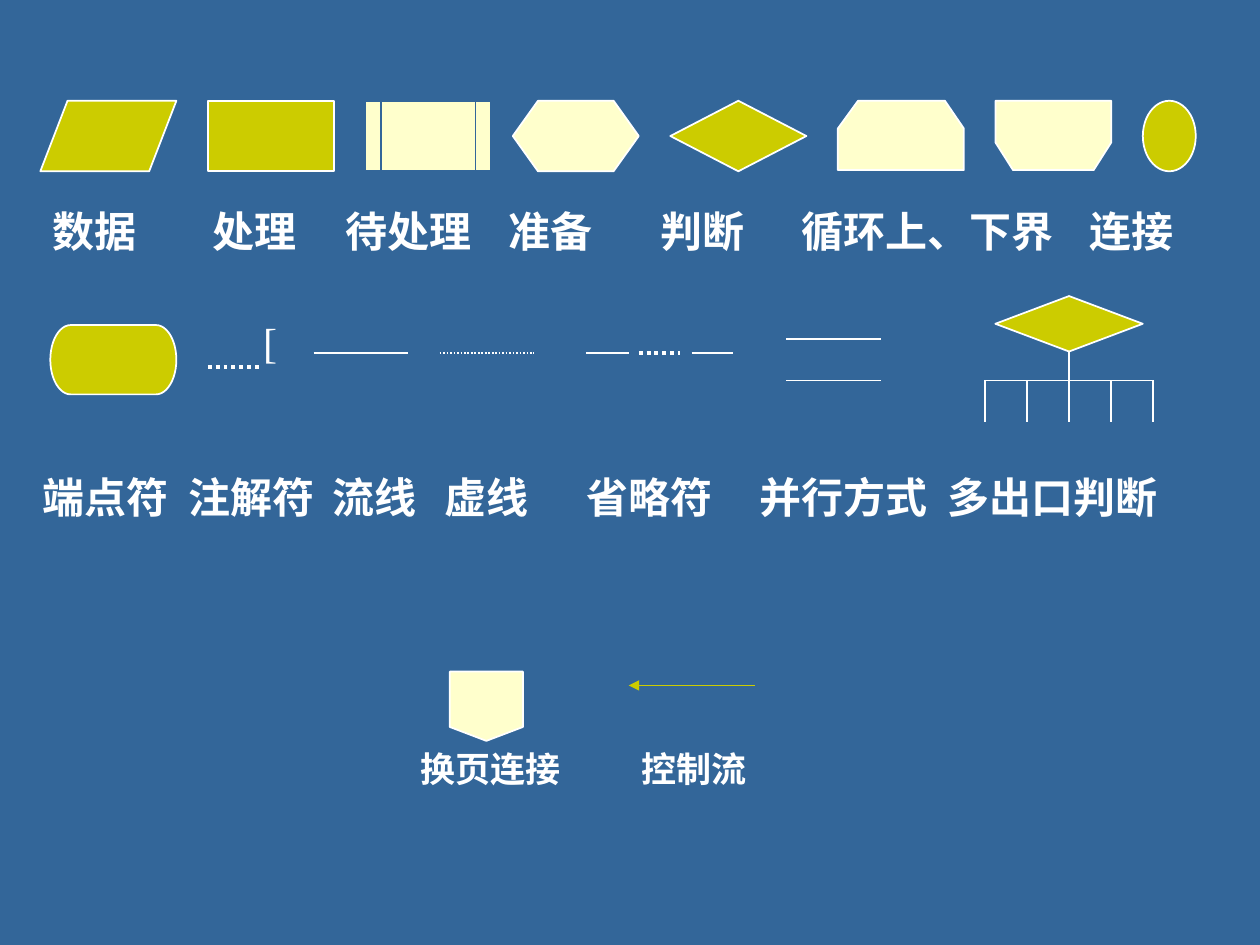
from lxml.etree import SubElement
from pptx import Presentation
from pptx.dml.color import RGBColor
from pptx.enum.dml import MSO_LINE
from pptx.enum.shapes import MSO_CONNECTOR, MSO_SHAPE as Preset
from pptx.enum.text import MSO_AUTO_SIZE
from pptx.oxml.ns import qn
from pptx.util import Inches, Pt

COLORS = {"blue": "336699", "olive": "CCCC00", "cream": "FFFFCC", "white": "FFFFFF"}
FONT = "Times New Roman"
DOTTED = MSO_LINE.ROUND_DOT

# preset, (left, top, width, height), fill, outline
SYMBOLS = [
    (Preset.FLOWCHART_DATA, (0.32, 0.8, 1.08, 0.56), "olive", "white"),
    (Preset.RECTANGLE, (1.65, 0.8, 1, 0.56), "olive", "white"),
    (Preset.FLOWCHART_PREDEFINED_PROCESS, (2.9, 0.8, 1, 0.56), "cream", "blue"),
    (Preset.FLOWCHART_PREPARATION, (4.07, 0.8, 1, 0.56), "cream", "white"),
    (Preset.FLOWCHART_DECISION, (5.32, 0.8, 1.08, 0.56), "olive", "white"),
    (Preset.FLOWCHART_CONNECTOR, (9.07, 0.8, 0.42, 0.56), "olive", "white"),
    (Preset.FLOWCHART_TERMINATOR, (0.4, 2.58, 1, 0.55), "olive", "white"),
    (Preset.FLOWCHART_OFFPAGE_CONNECTOR, (3.57, 5.33, 0.58, 0.55), "cream", "white"),
]
MULTI_EXIT_DECISION = (Preset.FLOWCHART_DECISION, (7.9, 2.35, 1.17, 0.44), "olive", "white")
LOOP_LIMITS = [
    [(6.65, 1.02), (6.81, 0.8), (7.5, 0.8), (7.65, 1.02), (7.65, 1.35), (6.65, 1.35)],
    [(7.9, 1.13), (8.04, 1.35), (8.68, 1.35), (8.82, 1.13), (8.82, 0.8), (7.9, 0.8)],
]
# left, right, y, width in points, dash
HORIZONTAL_LINES = [
    (1.65, 2.07, 2.91, 2.25, DOTTED),
    (2.49, 3.24, 2.8, 1, None),
    (3.49, 4.24, 2.8, 1, DOTTED),
    (4.65, 4.99, 2.8, 1, None),
    (5.07, 5.4, 2.8, 2.25, DOTTED),
    (5.49, 5.82, 2.8, 1, None),
    (6.24, 6.99, 2.69, 1, None),
    (6.24, 6.99, 3.02, 1, None),
]
BRANCH_TOP, BRANCH_BOTTOM = 3.02, 3.35
BRANCHES = [7.82, 8.15, 8.82, 9.15]
STEM = 8.49

# box, size, bold, labels, left edge of each label after the first
LABELS = [
    ((0.32, 1.58, 9.42, 0.5), 24, True,
     ["数据", "处理", "待处理", "准备", "判断", "循环上、下界", "连接"],
     [1.69, 2.74, 4.04, 5.24, 6.36, 8.65]),
    ((0.24, 3.69, 9.25, 0.5), 24, True,
     ["端点符", "注解符", "流线", "虚线", "省略符", "并行方式", "多出口判断"],
     [1.5, 2.64, 3.53, 4.66, 6.03, 7.52]),
    ((1.99, 2.46, 0.58, 0.5), 24, False, ["["], []),
    ((3.24, 5.88, 1.33, 0.44), 20, True, ["换页连接"], []),
    ((4.99, 5.88, 1.33, 0.44), 20, True, ["控制流"], []),
]
INSET = 0.1


def rgb(name):
    return RGBColor.from_string(COLORS[name])


def paint(shape, fill, outline):
    shape.shadow.inherit = False
    shape.fill.solid()
    shape.fill.fore_color.rgb = rgb(fill)
    shape.line.color.rgb = rgb(outline)
    shape.line.width = Pt(1)


def add_symbol(slide, preset, box, fill, outline):
    shape = slide.shapes.add_shape(preset, *map(Inches, box))
    paint(shape, fill, outline)
    return shape


def add_polygon(slide, points):
    corners = [(Inches(x), Inches(y)) for x, y in points]
    builder = slide.shapes.build_freeform(*corners[0])
    builder.add_line_segments(corners[1:], close=True)
    paint(builder.convert_to_shape(), "cream", "white")


def add_line(slide, start, end, color="white", width=1, dash=None):
    line = slide.shapes.add_connector(
        MSO_CONNECTOR.STRAIGHT, *map(Inches, (*start, *end)))
    line.line.color.rgb = rgb(color)
    line.line.width = Pt(width)
    if dash:
        line.line.dash_style = dash
    SubElement(line._element.spPr, qn("a:effectLst"))
    return line


def add_labels(slide, box, size, bold, labels, stops):
    """Write the labels on one line, with a tab stop at each left edge."""
    text_box = slide.shapes.add_textbox(*map(Inches, box))
    frame = text_box.text_frame
    frame.word_wrap = True
    frame.auto_size = MSO_AUTO_SIZE.SHAPE_TO_FIT_TEXT
    paragraph = frame.paragraphs[0]
    paragraph.text = "\t".join(labels)
    if stops:
        tabs = SubElement(paragraph._p.get_or_add_pPr(), qn("a:tabLst"))
        for stop in stops:
            position = Inches(stop - box[0] - INSET)
            SubElement(tabs, qn("a:tab"), pos=str(int(position)), algn="l")
    for run in paragraph.runs:
        run.font.name = FONT
        run.font.size = Pt(size)
        run.font.bold = bold
        run.font.color.rgb = rgb("white")


def main():
    presentation = Presentation()
    presentation.slide_width, presentation.slide_height = Inches(10), Inches(7.5)
    slide = presentation.slides.add_slide(presentation.slide_layouts[6])
    slide.background.fill.solid()
    slide.background.fill.fore_color.rgb = rgb("blue")

    for symbol in SYMBOLS:
        add_symbol(slide, *symbol)
    for points in LOOP_LIMITS:
        add_polygon(slide, points)
    for left, right, y, width, dash in HORIZONTAL_LINES:
        add_line(slide, (left, y), (right, y), width=width, dash=dash)

    decision = add_symbol(slide, *MULTI_EXIT_DECISION)
    stem = add_line(slide, (STEM, 2.8), (STEM, BRANCH_BOTTOM))
    stem.begin_connect(decision, 2)
    stem.end_x = stem.begin_x
    add_line(slide, (BRANCHES[0], BRANCH_TOP), (BRANCHES[-1], BRANCH_TOP))
    for x in BRANCHES:
        add_line(slide, (x, BRANCH_TOP), (x, BRANCH_BOTTOM))

    control_flow = add_line(slide, (5.99, 5.44), (4.99, 5.44), color="olive")
    SubElement(control_flow.line._get_or_add_ln(), qn("a:tailEnd"), type="triangle")

    for row in LABELS:
        add_labels(slide, *row)
    presentation.save("out.pptx")


if __name__ == "__main__":
    main()
